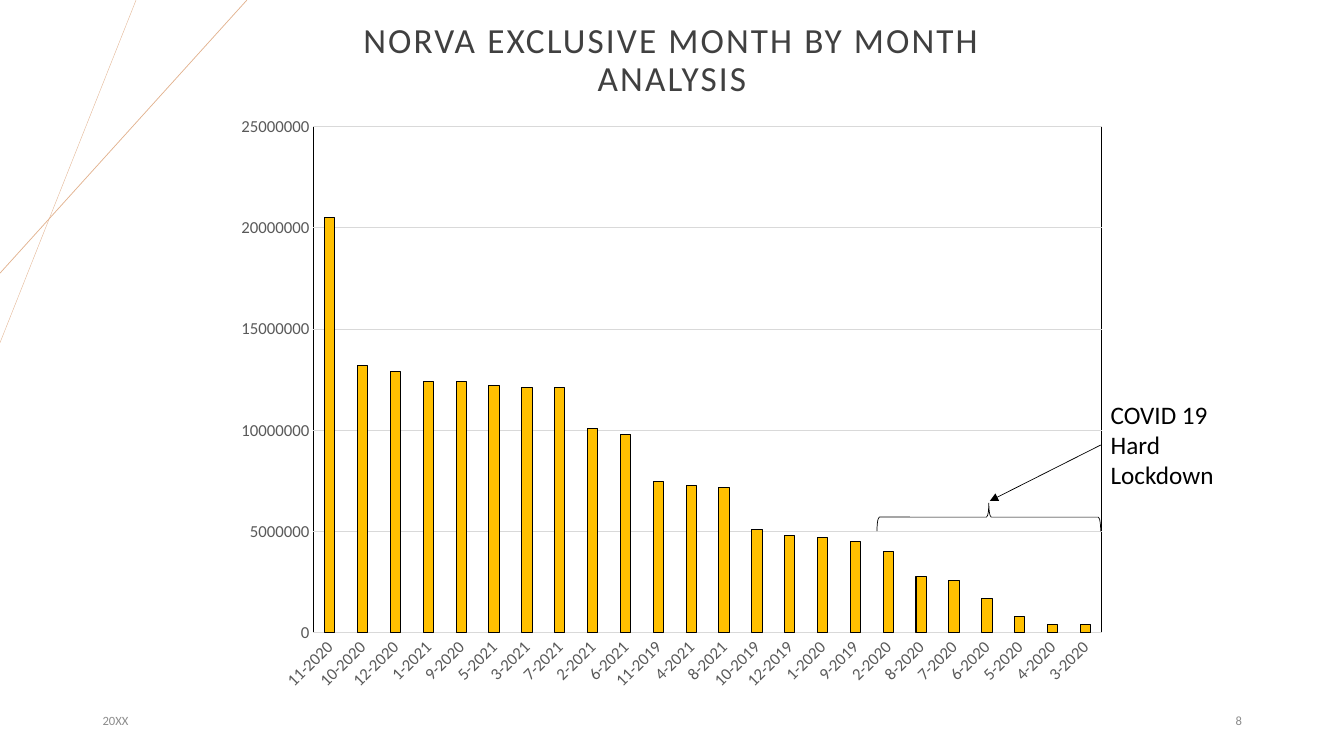
from lxml import etree
from pptx import Presentation
from pptx import util as u
from pptx.chart.data import CategoryChartData
from pptx.dml.color import RGBColor
from pptx.enum import chart as ch
from pptx.enum import shapes, text
from pptx.oxml.ns import qn

Pt = u.Pt
FONT = "Calibri"
SALES = {
    "11-2020": 20500000, "10-2020": 13200000, "12-2020": 12900000, "1-2021": 12400000,
    "9-2020": 12400000, "5-2021": 12200000, "3-2021": 12100000, "7-2021": 12100000,
    "2-2021": 10100000, "6-2021": 9800000, "11-2019": 7500000, "4-2021": 7300000,
    "8-2021": 7200000, "10-2019": 5100000, "12-2019": 4800000, "1-2020": 4700000,
    "9-2019": 4500000, "2-2020": 4000000, "8-2020": 2800000, "7-2020": 2600000,
    "6-2020": 1700000, "5-2020": 800000, "4-2020": 400000, "3-2020": 400000,
}


def colour(value):
    return RGBColor.from_string(value)


def sub(parent, tag, **attributes):
    return etree.SubElement(parent, qn(tag), attributes)


def set_font(font, size, value):
    font.name = FONT
    font.size = Pt(size)
    font.bold = False
    font.color.rgb = colour(value)


def set_line(line, value, width):
    line.color.rgb = colour(value)
    line.width = Pt(width)


def write(frame, wording, size, value, align, anchor):
    frame.word_wrap = True
    frame.vertical_anchor = anchor
    frame.text = wording
    paragraph = frame.paragraphs[0]
    paragraph.alignment = align
    set_font(paragraph.runs[0].font, size, value)
    return paragraph


def add_title(slide, wording):
    title = slide.shapes.title
    title.left, title.top, title.width, title.height = Pt(252), Pt(12.24), Pt(456), Pt(63.36)
    heading = write(title.text_frame, wording, 25.2, "404040",
                    text.PP_ALIGN.CENTER, text.MSO_ANCHOR.MIDDLE)
    title.text_frame.auto_size = text.MSO_AUTO_SIZE.NONE
    heading.line_spacing = 0.9
    heading.runs[0].font._element.set("spc", "150")


def add_label(slide, wording, box, size, value, align=text.PP_ALIGN.LEFT,
              anchor=text.MSO_ANCHOR.MIDDLE):
    label = slide.shapes.add_textbox(*map(Pt, box))
    write(label.text_frame, wording, size, value, align, anchor)
    return label


def add_line(slide, start, end, value, width):
    line = slide.shapes.add_connector(shapes.MSO_CONNECTOR.STRAIGHT, *map(Pt, start + end))
    set_line(line.line, value, width)
    sub(line._element.spPr, "a:effectLst")
    return line


def add_brace(slide, box):
    brace = slide.shapes.add_shape(shapes.MSO_SHAPE.RIGHT_BRACE, *map(Pt, box))
    brace.rotation = 270
    brace.shadow.inherit = False
    brace.fill.background()
    set_line(brace.line, "000000", 0.5)


def format_axis(axis):
    axis.major_tick_mark = axis.minor_tick_mark = ch.XL_TICK_MARK.NONE
    set_font(axis.tick_labels.font, 12, "595959")
    axis.tick_labels.number_format = "General"
    axis.tick_labels.number_format_is_linked = False


def frame_plot(chart):
    plot_area = chart._chartSpace.chart.plotArea
    for old in plot_area.findall(qn("c:layout")):
        plot_area.remove(old)
    layout = etree.Element(qn("c:layout"))
    plot_area.insert(0, layout)
    manual = sub(layout, "c:manualLayout")
    for tag, setting in (("layoutTarget", "inner"), ("xMode", "edge"), ("yMode", "edge"),
                         ("x", "0.1"), ("y", "0.035"), ("w", "0.88"), ("h", "0.847")):
        sub(manual, "c:" + tag, val=setting)
    properties = sub(plot_area, "c:spPr")
    sub(sub(properties, "a:solidFill"), "a:srgbClr", val="FFFFFF")
    border = sub(properties, "a:ln", w=str(Pt(0.75)))
    sub(sub(border, "a:solidFill"), "a:srgbClr", val="000000")


def add_sales_chart(slide, box):
    data = CategoryChartData()
    data.categories = list(SALES)
    data.add_series("Series 1", SALES.values())
    chart = slide.shapes.add_chart(
        ch.XL_CHART_TYPE.COLUMN_CLUSTERED, *map(Pt, box), data).chart
    chart.has_legend = chart.has_title = False
    set_font(chart.font, 10, "000000")
    months, amounts = chart.category_axis, chart.value_axis
    format_axis(months)
    set_line(months.format.line, "D9D9D9", 0.75)
    months._element.txPr.find(qn("a:bodyPr")).set("rot", "-2700000")
    format_axis(amounts)
    amounts.format.line.fill.background()
    amounts.minimum_scale, amounts.maximum_scale, amounts.major_unit = 0, 25000000, 5000000
    set_line(amounts.major_gridlines.format.line, "D9D9D9", 0.75)
    bars = chart.plots[0]
    bars.gap_width, bars.overlap, bars.vary_by_categories = 219, -27, False
    sales = bars.series[0]
    sales.format.fill.solid()
    sales.format.fill.fore_color.rgb = colour("FFC000")
    set_line(sales.format.line, "000000", 0.75)
    frame_plot(chart)


def main():
    deck = Presentation()
    deck.slide_width, deck.slide_height = Pt(960), Pt(540)
    slide = deck.slides.add_slide(deck.slide_layouts[5])
    add_line(slide, (97.2, 0), (0, 244.8), "E2B18D", 0.25)
    add_line(slide, (176.4, 0), (0, 195.12), "E2B18D", 0.5)
    add_title(slide, "NORVA EXCLUSIVE MONTH BY MONTH ANALYSIS")
    add_label(slide, "20XX", (66.24, 500.4, 216, 28.8), 9, "8C8C8C")
    add_label(slide, "8", (678.24, 500.4, 216, 28.8), 9, "8C8C8C", text.PP_ALIGN.RIGHT)
    add_sales_chart(slide, (159.84, 75.6, 640.08, 426.96))
    lockdown = add_label(slide, "COVID 19 Hard Lockdown", (786.24, 281.52, 108, 72.72),
                         18, "000000", anchor=text.MSO_ANCHOR.TOP)
    lockdown.text_frame.auto_size = text.MSO_AUTO_SIZE.SHAPE_TO_FIT_TEXT
    pointer = add_line(slide, (786.24, 317.88), (707.04, 357.84), "000000", 0.5)
    pointer.begin_connect(lockdown, 1)
    sub(pointer.line._get_or_add_ln(), "a:tailEnd", type="triangle")
    add_brace(slide, (696.24, 289.44, 20.16, 159.84))
    deck.save("out.pptx")


if __name__ == "__main__":
    main()
